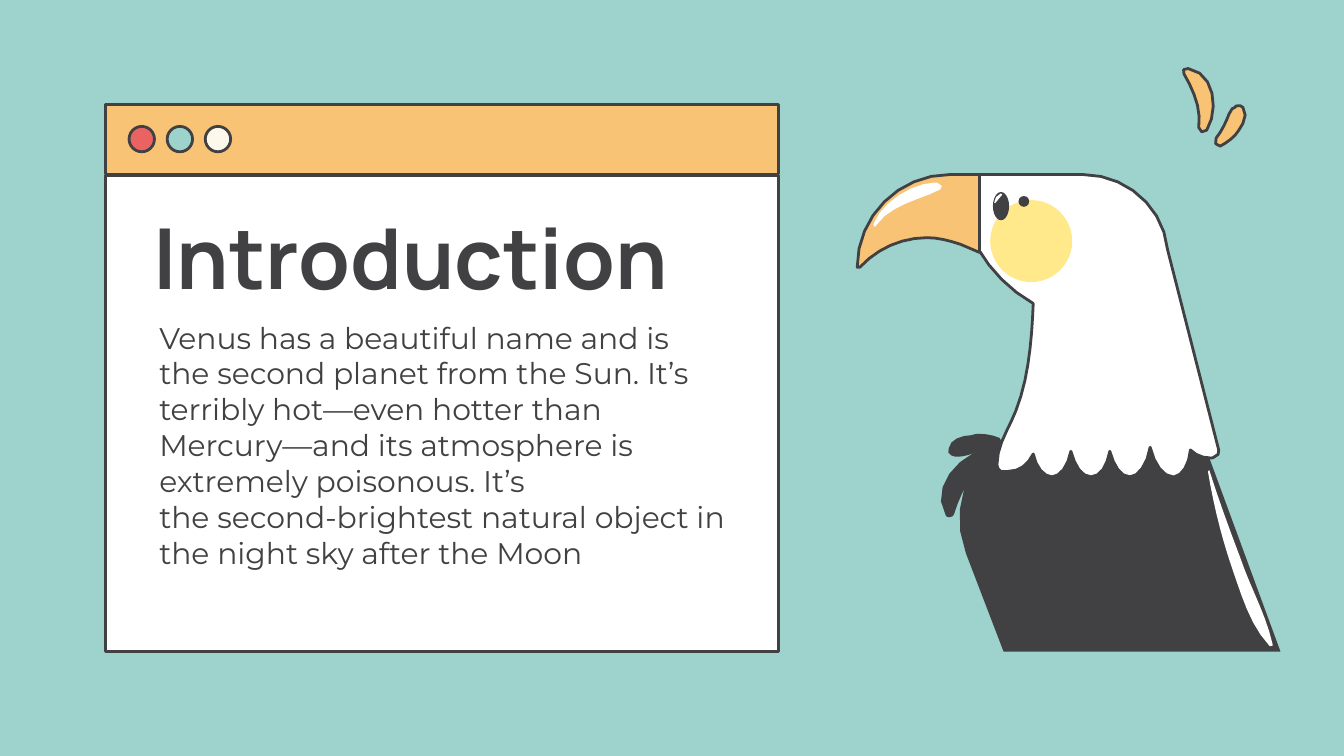
import math

import pptx
import pptx.dml.color
import pptx.enum.shapes
import pptx.enum.text
import pptx.util
from pptx.util import Cm

RGBColor = pptx.dml.color.RGBColor
MSO_SHAPE = pptx.enum.shapes.MSO_SHAPE

TEAL = RGBColor(0x9D, 0xD3, 0xCC)
CHARCOAL = RGBColor(0x41, 0x40, 0x42)
WHITE = RGBColor(0xFF, 0xFF, 0xFF)
ORANGE = RGBColor(0xF9, 0xC3, 0x75)
YELLOW = RGBColor(0xFF, 0xE9, 0x8A)
RED = RGBColor(0xEA, 0x63, 0x63)
CREAM = RGBColor(0xFC, 0xF8, 0xEB)

# Outlines: a start point, then lines (x, y) and cubic curves (x1, y1, x2, y2, x, y)
EAGLE_GRID = 315  # grid units across the eagle's box
BODY = [(232, 129), (138, 186), (93, 190, 64, 239, 81, 282), (109, 355), (315, 355)]
LOWER_FEATHER = [
    (96, 204), (76, 208, 53, 233, 66, 254), (66, 255, 68, 255, 69, 255),
    (70, 255, 72, 254, 72, 253), (77, 237, 85, 221, 99, 211), (102, 208, 100, 204, 97, 204)]
UPPER_FEATHER = [
    (91, 193), (89, 193, 87, 193, 85, 194), (78, 194, 69, 197, 68, 204),
    (67, 206, 68, 208, 70, 209), (72, 210, 73, 210, 75, 210), (78, 210, 82, 209, 85, 208),
    (91, 206, 97, 205, 104, 204), (108, 204, 110, 198, 106, 196), (101, 194, 96, 193, 91, 193)]
WING_STRIPE = [
    (262, 220), (261, 221), (265, 245, 271, 270, 279, 293), (286, 313, 292, 335, 307, 351),
    (308, 351), (309, 351, 310, 350, 309, 349), (304, 327, 292, 306, 285, 285),
    (277, 264, 269, 242, 262, 220)]
HEAD = [
    (75, 0), (75, 39, 96, 76, 131, 96), (130, 120, 128, 151, 118, 176),
    (113, 189, 104, 201, 104, 216), (104, 218, 105, 220, 107, 221), (112, 221),
    (121, 221, 127, 216, 131, 208), (133, 218, 139, 225, 145, 225),
    (151, 225, 157, 217, 159, 206), (162, 217, 167, 225, 174, 225),
    (181, 225, 186, 217, 188, 206), (191, 217, 196, 225, 203, 225),
    (209, 225, 216, 216, 218, 203), (221, 216, 228, 225, 235, 225), (236, 225),
    (242, 224, 247, 216, 248, 205), (252, 209, 257, 211, 263, 211),
    (264, 211, 265, 211, 266, 210), (268, 210, 270, 207, 269, 205), (231, 56),
    (228, 24, 200, 0, 168, 0)]
EYE_GLINT = [(107, 14), (104, 15, 102, 18, 102, 21), (103, 21), (104, 19, 106, 18, 108, 15)]
BEAK = [
    (69, 0), (31, 0, 0, 31, 0, 69), (2, 69), (15, 55, 33, 47, 52, 47),
    (60, 47, 68, 49, 77, 52), (91, 58), (91, 0)]
BEAK_GLINT = [
    (58, 6), (41, 6, 18, 21, 12, 37), (12, 38, 13, 39, 13, 39), (14, 38),
    (25, 22, 47, 19, 62, 11), (64, 10, 63, 7, 61, 7), (60, 6, 59, 6, 58, 6)]

SPARK_GRID = 47  # grid units across the sparks' box
SPARK_TILT = 131.8  # degrees
LARGE_SPARK = [
    (18, 47), (27, 32, 24, 4, 4, 1), (1, 0, -1, 3, 1, 5),
    (8, 17, 14, 31, 12, 45), (12, 48, 16, 50, 18, 47)]
SMALL_SPARK = [
    (39, 51), (40, 50, 41, 48, 42, 47), (45, 43, 49, 35, 45, 30), (44, 29, 42, 28, 40, 29),
    (39, 30, 38, 31, 37, 31), (35, 34, 34, 36, 33, 39), (31, 44, 28, 49, 25, 53),
    (23, 55, 25, 60, 28, 59), (32, 57, 36, 54, 39, 51)]


def paint(shape, fill, outlined):
    shape.shadow.inherit = False
    shape.fill.solid()
    shape.fill.fore_color.rgb = fill
    if outlined:
        shape.line.color.rgb = CHARCOAL
        shape.line.width = pptx.util.Pt(1.5)
    else:
        shape.line.fill.background()


def add_preset(slide, kind, left, top, width, height, fill, outlined=True):
    shape = slide.shapes.add_shape(kind, int(left), int(top), int(width), int(height))
    paint(shape, fill, outlined)


def flatten(outline):
    """Turn lines and cubic curves into points, with more steps on longer curves."""
    points = [outline[0]]
    for segment in outline[1:]:
        if len(segment) == 2:
            points.append(segment)
            continue
        controls = [points[-1], segment[:2], segment[2:4], segment[4:]]
        steps = max(2, round(0.8 * math.sqrt(math.dist(controls[0], controls[3]))))
        for step in range(1, steps + 1):
            t = step / steps
            weights = ((1 - t) ** 3, 3 * t * (1 - t) ** 2, 3 * t ** 2 * (1 - t), t ** 3)
            points.append(tuple(
                sum(w * control[axis] for w, control in zip(weights, controls))
                for axis in (0, 1)))
    return points


def turn(point, degrees):
    x, y = point
    cosine, sine = math.cos(math.radians(degrees)), math.sin(math.radians(degrees))
    return x * cosine - y * sine, x * sine + y * cosine


def add_outline(slide, outline, left, top, unit, fill, outlined=False, tilt=0):
    points = [turn((x * unit, y * unit), -tilt) for x, y in flatten(outline)]
    builder = slide.shapes.build_freeform(*points[0])
    builder.add_line_segments(points[1:], close=True)
    shape = builder.convert_to_shape()
    # Turn the shape's centre back along with the shape
    centre = turn((shape.left + shape.width / 2, shape.top + shape.height / 2), tilt)
    shape.left = int(left + centre[0] - shape.width / 2)
    shape.top = int(top + centre[1] - shape.height / 2)
    shape.rotation = tilt
    paint(shape, fill, outlined)


def place(shape, left, top, width, height):
    shape.left, shape.top, shape.width, shape.height = left, top, width, height


def format_text(shape, paragraphs, font_name, size, bold):
    frame = shape.text_frame
    frame.text = "\n".join(paragraphs)
    frame.word_wrap = True
    frame.auto_size = pptx.enum.text.MSO_AUTO_SIZE.NONE
    frame.vertical_anchor = pptx.enum.text.MSO_ANCHOR.MIDDLE
    frame.margin_left = frame.margin_right = Cm(0.25)
    frame.margin_top = frame.margin_bottom = Cm(0.25)
    for paragraph in frame.paragraphs:
        paragraph.alignment = pptx.enum.text.PP_ALIGN.LEFT
        paragraph.space_before = pptx.util.Pt(0)
        paragraph.font.name = font_name
        paragraph.font.size = pptx.util.Pt(size)
        paragraph.font.bold = bold
        paragraph.font.color.rgb = CHARCOAL


def build_window(slide, left, top, width, height):
    bar_height, page_offset = Cm(1.32), Cm(1.34)
    heading, introduction = slide.placeholders[0], slide.placeholders[1]

    # Page with the introduction, behind the heading
    slide.shapes._spTree.insert(2, introduction._element)
    place(introduction, left, top + page_offset, width, height - page_offset)
    paint(introduction, WHITE, True)
    format_text(introduction, [
        "Venus has a beautiful name and is the second planet from the Sun. It’s terribly "
        "hot—even hotter than Mercury—and its atmosphere is extremely poisonous. It’s",
        "the second-brightest natural object in the night sky after the Moon",
    ], "Montserrat", 16, False)
    introduction.text_frame.margin_left = Cm(1.02)
    introduction.text_frame.margin_right = Cm(1)
    introduction.text_frame.margin_top = Cm(1.43)

    # Heading
    place(heading, left + Cm(0.66), top + Cm(1.97), Cm(11.33), Cm(1.8))
    format_text(heading, ["Introduction"], "Manrope", 45, True)

    # Title bar and its buttons
    add_preset(slide, MSO_SHAPE.RECTANGLE, left, top, width, bar_height, ORANGE)
    button = Cm(0.48)
    for index, colour in enumerate((RED, TEAL, CREAM)):
        add_preset(slide, MSO_SHAPE.OVAL, left + Cm(0.45) + index * Cm(0.72),
                   top + (bar_height - button) / 2, button, button, colour)


def build_eagle(slide, left, top, width):
    unit = width / EAGLE_GRID

    def outline(points, fill, outlined=False):
        add_outline(slide, points, left, top, unit, fill, outlined)

    def oval(x, y, across, down, fill):
        add_preset(slide, MSO_SHAPE.OVAL, left + x * unit, top + y * unit,
                   across * unit, down * unit, fill, outlined=False)

    # Body and feathers
    for part in (BODY, LOWER_FEATHER, UPPER_FEATHER):
        outline(part, CHARCOAL)
    outline(WING_STRIPE, WHITE)

    # Head, cheek and eye
    outline(HEAD, WHITE, outlined=True)
    oval(99, 19, 61, 61, YELLOW)
    oval(120, 16, 8, 8, CHARCOAL)
    oval(101, 13, 12, 21, CHARCOAL)
    outline(EYE_GLINT, WHITE)

    # Beak
    outline(BEAK, ORANGE, outlined=True)
    outline(BEAK_GLINT, WHITE)


def build_sparks(slide, left, top, width):
    for spark in (LARGE_SPARK, SMALL_SPARK):
        add_outline(slide, spark, left, top, width / SPARK_GRID, ORANGE, True, SPARK_TILT)


def main():
    deck = pptx.Presentation()
    deck.slide_width, deck.slide_height = Cm(25.4), Cm(14.29)
    slide = deck.slides.add_slide(deck.slide_layouts[0])
    slide.background.fill.solid()
    slide.background.fill.fore_color.rgb = TEAL

    build_window(slide, Cm(1.99), Cm(1.97), Cm(12.72), Cm(10.35))
    build_eagle(slide, Cm(16.2), Cm(3.3), Cm(8))
    build_sparks(slide, Cm(22.35), Cm(1.27), Cm(1.19))
    deck.save("out.pptx")


if __name__ == "__main__":
    main()
